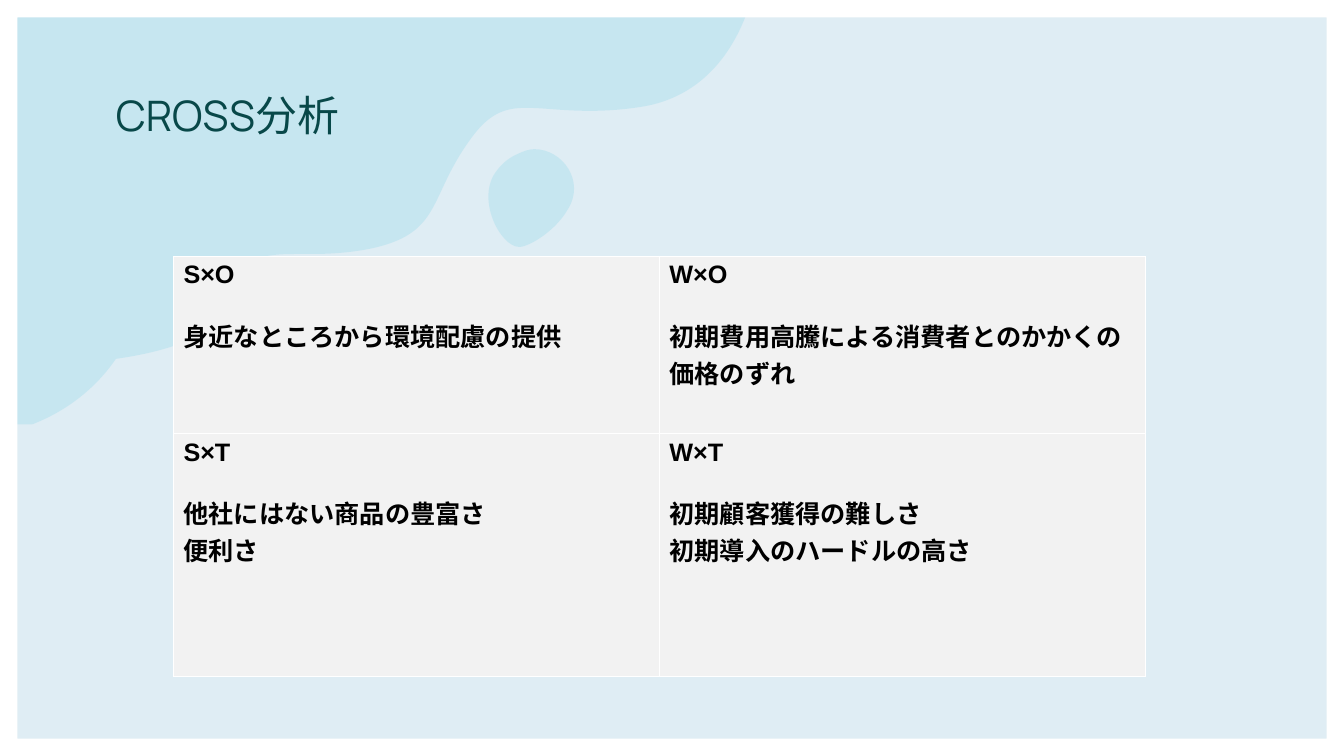
from dataclasses import dataclass
from lxml.etree import SubElement
from pptx import Presentation
from pptx.dml.color import RGBColor as Color
from pptx.enum.shapes import MSO_SHAPE as Shape
from pptx.enum.text import MSO_ANCHOR as Anchor
from pptx.oxml.ns import qn
from pptx.util import Emu, Pt

# Content
TITLE = "CROSS分析"
MATRIX = [
    [("S×O", "身近なところから環境配慮の提供"),
     ("W×O", "初期費用高騰による消費者とのかかくの価格のずれ")],
    [("S×T", "他社にはない商品の豊富さ", "便利さ"),
     ("W×T", "初期顧客獲得の難しさ", "初期導入のハードルの高さ")],
]

# Lengths in px, 100 to the inch
PX = 9144
PAGE = (1333, 750)
TITLE_BOX = (105, 79, 1123, 94)
TITLE_INSET = 10
TABLE_AT = (172, 254)
COLUMN_WIDTH = 482
ROW_HEIGHTS = (176, 241)
FRAME_RATIO = 0.023

# Outlines: bounds, then steps of one point (move, line) or three (curve)
WAVE = ((0, 0, 745, 421), [
    ("moveTo", 32, 421),
    ("cubicBezTo", 63, 409, 93, 388, 115, 356),
    ("cubicBezTo", 186, 346, 223, 324, 227, 300),
    ("cubicBezTo", 234, 254, 260, 252, 296, 252),
    ("cubicBezTo", 300, 252, 304, 252, 309, 252),
    ("cubicBezTo", 326, 252, 345, 251, 366, 247),
    ("cubicBezTo", 439, 232, 424, 197, 466, 139),
    ("cubicBezTo", 485, 112, 501, 107, 522, 107),
    ("cubicBezTo", 539, 107, 558, 110, 585, 110),
    ("cubicBezTo", 600, 110, 617, 109, 636, 106),
    ("cubicBezTo", 706, 95, 734, 37, 745, 0),
    ("lnTo", 0, 0),
    ("lnTo", 0, 421),
    ("close",),
])
DROP = ((471, 148, 109, 97), [
    ("moveTo", 515, 245),
    ("cubicBezTo", 516, 245, 516, 245, 516, 245),
    ("cubicBezTo", 526, 244, 551, 229, 563, 208),
    ("cubicBezTo", 581, 180, 558, 148, 530, 148),
    ("cubicBezTo", 525, 148, 519, 150, 513, 153),
    ("cubicBezTo", 506, 156, 499, 161, 493, 169),
    ("cubicBezTo", 471, 196, 496, 245, 515, 245),
    ("close",),
])


@dataclass(frozen=True)
class Theme:
    backdrop: str = "DFEDF4"
    wave: str = "7FD3E8"
    wave_alpha: int = 25
    white: str = "FFFFFF"
    cell: str = "F2F2F2"
    title: str = "084849"
    text: str = "000000"
    title_font: str = "Manrope"
    text_font: str = "Arial"
    title_size: int = 30
    text_size: int = 18
    heading_gap: int = 20
    border: float = 0.38


THEME = Theme()
TITLE_FORMAT = {"name": THEME.title_font, "size": Pt(THEME.title_size)}
CELL_FORMAT = {"name": THEME.text_font, "size": Pt(THEME.text_size), "bold": True}


def emu(*lengths):
    return [Emu(length * PX) for length in lengths]


def paint(fill, color):
    fill.solid()
    fill.fore_color.rgb = Color.from_string(color)


def write(para, text, font_format, color):
    span = para.add_run()
    span.text = text
    for name, value in font_format.items():
        setattr(span.font, name, value)
    span.font.color.rgb = Color.from_string(color)


def add_blob(page, bounds, steps):
    """Size a freeform by its bounds, then give it the curved outline."""
    left, top, width, height = bounds
    builder = page.shapes.build_freeform(left, top, scale=PX)
    builder.add_line_segments([(left + width, top + height)], close=True)
    blob = builder.convert_to_shape()
    outline = next(blob.element.iter(qn("a:path")))
    for node in list(outline):
        outline.remove(node)
    for kind, *values in steps:
        node = SubElement(outline, qn(f"a:{kind}"))
        for x, y in zip(values[::2], values[1::2]):
            SubElement(node, qn("a:pt"), x=str(x - left), y=str(y - top))
    blob.shadow.inherit = False
    blob.line.fill.background()
    paint(blob.fill, THEME.wave)
    tint = next(blob.element.spPr.iter(qn("a:srgbClr")))
    SubElement(tint, qn("a:alpha"), val=str(THEME.wave_alpha * 1000))


def add_frame(page):
    frame = page.shapes.add_shape(Shape.FRAME, *emu(0, 0, *PAGE))
    frame.adjustments[0] = FRAME_RATIO
    frame.shadow.inherit = False
    frame.line.fill.background()
    paint(frame.fill, THEME.white)


def add_title(page):
    box = page.shapes.add_textbox(*emu(*TITLE_BOX)).text_frame
    box.word_wrap = True
    box.vertical_anchor = Anchor.TOP
    for side in ("left", "top", "right", "bottom"):
        setattr(box, f"margin_{side}", Emu(TITLE_INSET * PX))
    write(box.paragraphs[0], TITLE, TITLE_FORMAT, THEME.title)


def add_borders(cell):
    properties = cell._tc.get_or_add_tcPr()
    for side in ("lnL", "lnR", "lnT", "lnB"):
        line = SubElement(properties, qn(f"a:{side}"), w=str(Pt(THEME.border)))
        fill = SubElement(line, qn("a:solidFill"))
        SubElement(fill, qn("a:srgbClr"), val=THEME.white)


def fill_cell(cell, lines):
    add_borders(cell)
    paint(cell.fill, THEME.cell)
    box = cell.text_frame
    for index, text in enumerate(lines):
        para = box.add_paragraph() if index else box.paragraphs[0]
        if index == 1:
            para.space_before = Pt(THEME.heading_gap)
        write(para, text, CELL_FORMAT, THEME.text)


def add_matrix(page):
    rows, columns = len(MATRIX), len(MATRIX[0])
    size = (COLUMN_WIDTH * columns, sum(ROW_HEIGHTS))
    table = page.shapes.add_table(rows, columns, *emu(*TABLE_AT, *size)).table
    table.first_row = table.horz_banding = False
    for row, height, entries in zip(table.rows, ROW_HEIGHTS, MATRIX):
        row.height = Emu(height * PX)
        for cell, lines in zip(row.cells, entries):
            fill_cell(cell, lines)


def main():
    deck = Presentation()
    deck.slide_width, deck.slide_height = emu(*PAGE)
    page = deck.slides.add_slide(deck.slide_layouts[6])
    paint(page.background.fill, THEME.backdrop)
    for bounds, steps in (WAVE, DROP):
        add_blob(page, bounds, steps)
    add_frame(page)
    add_title(page)
    add_matrix(page)
    deck.save("out.pptx")


if __name__ == "__main__":
    main()
